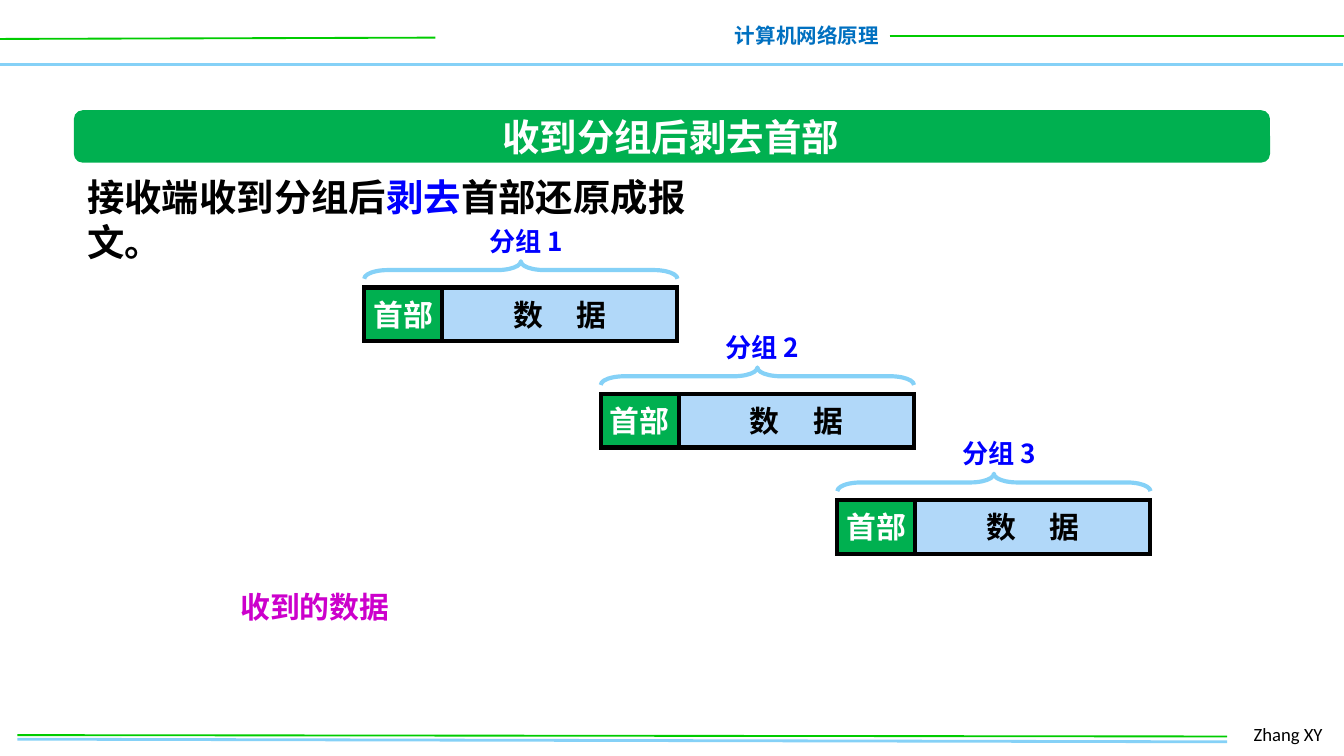
from pptx import Presentation
from pptx.dml.color import RGBColor
from pptx.enum import shapes, text
from pptx.oxml.ns import qn
from pptx.util import Inches, Pt
from lxml import etree

COLORS = {"sky": "85D1F7", "lime": "00CC00", "title": "0070C0", "green": "00B050",
          "pale": "B1D8F9", "blue": "0000FF", "purple": "CC00CC",
          "black": "000000", "white": "FFFFFF"}
CJK = "Noto Sans CJK SC"
LATIN = "Calibri"
SHAPE = shapes.MSO_SHAPE
ALIGN = text.PP_ALIGN


def rgb(name):
    """Return the named colour."""
    return RGBColor.from_string(COLORS[name])


def write(sp, runs, size, font=CJK, bold=True, align=ALIGN.LEFT, wrap=False, middle=False):
    """Write (text, colour) runs into the single paragraph of a shape."""
    tf = sp.text_frame
    tf.word_wrap = wrap
    tf.vertical_anchor = text.MSO_ANCHOR.MIDDLE if middle else text.MSO_ANCHOR.TOP
    p = tf.paragraphs[0]
    p.alignment = align
    p._p.get_or_add_pPr().set("hangingPunct", "0")
    for words, color in runs:
        r = p.add_run()
        r.text = words
        r.font.size = Pt(size)
        r.font.bold = bold
        r.font.name = font
        r.font.color.rgb = rgb(color)
        etree.SubElement(r.font._element, qn("a:ea")).set("typeface", font)
    return p


def add_text(parent, box, runs, size, **style):
    """Add a text box at the given box."""
    sp = parent.add_textbox(*map(Inches, box))
    write(sp, runs, size, **style)
    return sp


def add_line(s, start, end, color, width):
    """Draw a plain straight line."""
    ln = s.shapes.add_connector(shapes.MSO_CONNECTOR.STRAIGHT, *map(Inches, start + end))
    ln.line.color.rgb = rgb(color)
    ln.line.width = Pt(width)
    etree.SubElement(ln._element.spPr, qn("a:effectLst"))


def add_shape(parent, kind, box, fill=None, line=None):
    """Add a preset shape with an optional fill and outline."""
    sp = parent.add_shape(kind, *map(Inches, box))
    sp.shadow.inherit = False
    if fill:
        sp.fill.solid()
        sp.fill.fore_color.rgb = rgb(fill)
    else:
        sp.fill.background()
    if line:
        sp.line.color.rgb = rgb(line)
        sp.line.width = Pt(2.25)
    else:
        sp.line.fill.background()
    return sp


def add_cell(s, box, fill, runs):
    """Add a sharp-cornered packet cell and return its paragraph."""
    sp = add_shape(s.shapes, SHAPE.RECTANGLE, box, fill, "black")
    etree.SubElement(sp.line._get_or_add_ln(), qn("a:miter")).set("lim", "800000")
    return write(sp, runs, 16, align=ALIGN.CENTER, middle=True)


def add_page_header(s, x, y, w):
    """Draw the course name and rules across the top."""
    add_line(s, (x - 0.01, y + 0.48), (x + w - 0.01, y + 0.48), "sky", 2)
    add_line(s, (x, y + 0.29), (x + 3.24, y + 0.28), "lime", 1)
    add_text(s.shapes, (x + 5.36, y + 0.12, 1.28, 0.29), [("计算机网络原理", "title")], 11,
             align=ALIGN.RIGHT)
    add_line(s, (x + 6.62, y + 0.27), (x + w + 0.01, y + 0.27), "lime", 1)


def add_page_footer(s, x, y, w):
    """Draw the author and the double rule at the bottom."""
    add_line(s, (x, y + 0.17), (x + w, y + 0.19), "sky", 1.5)
    add_text(s.shapes, (x + w + 0.1, y, 0.74, 0.27), [("Zhang XY", "black")], 10,
             font=LATIN, bold=False, wrap=True)
    add_line(s, (x, y + 0.14), (x + w, y + 0.15), "lime", 1)


def add_heading(s, x, y, w, h):
    """Draw the title bar and the statement below it."""
    add_shape(s.shapes, SHAPE.ROUNDED_RECTANGLE, (x, y, w, h), "green")
    add_text(s.shapes, (x + 3.09, y - 0.02, 2.73, 0.44), [("收到分组后剥去首部", "white")], 20,
             font=LATIN)
    add_text(s.shapes, (x, y + 0.43, 5.16, 0.44),
             [("接收端收到分组后", "black"), ("剥去", "blue"), ("首部还原成报文。", "black")],
             20, wrap=True)


def add_packet(s, x, y, w, number):
    """Draw a header and data cell under a labelled brace."""
    head_w, cell_h, cell_y = 0.58, 0.4, y + 0.52
    p = add_cell(s, (x + head_w, cell_y, w - head_w, cell_h), "pale",
                 [("数", "black"), (" ", "black"), ("据", "black")])
    p.runs[1].font._element.set("spc", "1430")
    add_cell(s, (x, cell_y, head_w, cell_h), "green", [("首部", "white")])

    group = s.shapes.add_group_shape().shapes
    brace_w = 0.13
    brace = add_shape(group, SHAPE.LEFT_BRACE,
                      (x + (w - brace_w) / 2, y + 0.39 - w / 2, brace_w, w), line="sky")
    brace.rotation = 90
    brace.adjustments[0] = 1.344
    label = add_text(group, (x + 0.83, y, 0.78, 0.34), [(f"分组 {number}", "blue")], 14,
                     wrap=True, middle=True)
    label.text_frame.margin_right = 0


def main():
    """Build the slide and save it."""
    prs = Presentation()
    prs.slide_width = Inches(10)
    prs.slide_height = prs.slide_width * 9 // 16
    s = prs.slides.add_slide(prs.slide_layouts[6])
    add_page_header(s, 0, 0, 10)
    add_page_footer(s, 0.13, 5.33, 9)
    add_heading(s, 0.55, 0.82, 8.9, 0.39)
    for i in range(3):
        add_packet(s, 2.71 + 1.76 * i, 1.62 + 0.79 * i, 2.33, i + 1)
    add_text(s.shapes, (1.69, 4.33, 1.72, 0.37), [("收到的数据", "purple")], 16, wrap=True)
    prs.save("out.pptx")


if __name__ == "__main__":
    main()
